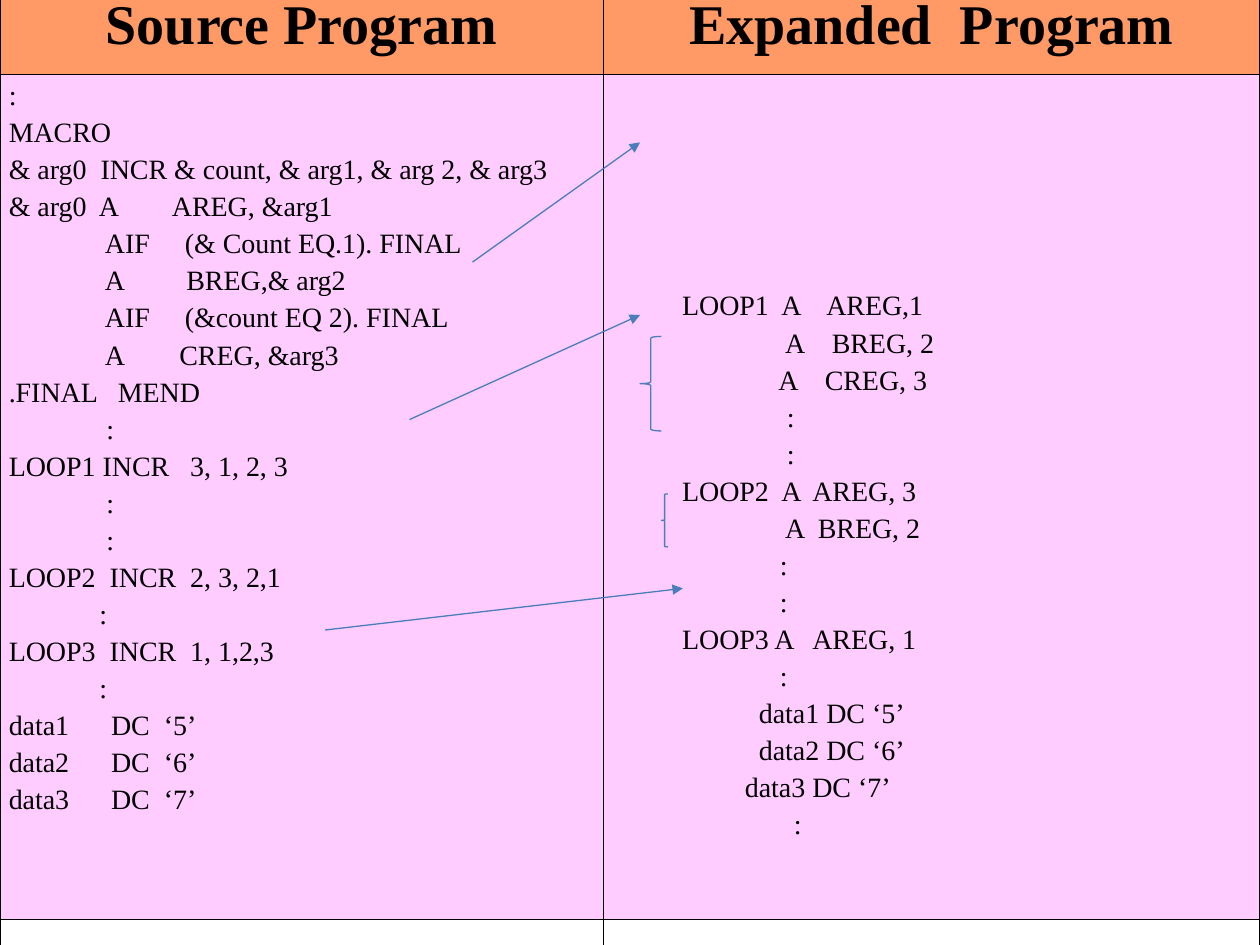
from pptx import Presentation
from pptx.dml.color import RGBColor
from pptx.enum.shapes import MSO_CONNECTOR, MSO_SHAPE
from pptx.enum.text import PP_ALIGN
from pptx.oxml.ns import qn
from pptx.util import Inches, Pt
from lxml.etree import SubElement

BLACK = RGBColor(0x00, 0x00, 0x00)
WHITE = RGBColor(0xFF, 0xFF, 0xFF)
ORANGE = RGBColor(0xFF, 0x99, 0x66)
PINK = RGBColor(0xFF, 0xCC, 0xFF)
BLUE = RGBColor(0x4A, 0x7E, 0xBB)
FONT = "Times New Roman"

COLUMN_WIDTHS = (4.79, 5.21)
ROW_HEIGHTS = (0.68, 6.71, 0.3)
ROW_FILLS = (ORANGE, PINK, WHITE)
HEADERS = ("Source Program", "Expanded  Program")

SOURCE_CODE = """\
:
MACRO
& arg0  INCR & count, & arg1, & arg 2, & arg3
& arg0  A        AREG, &arg1
              AIF     (& Count EQ.1). FINAL
              A         BREG,& arg2
              AIF     (&count EQ 2). FINAL
              A        CREG, &arg3
.FINAL   MEND
              :
LOOP1 INCR   3, 1, 2, 3
              :
              :
LOOP2  INCR  2, 3, 2,1
             :
LOOP3  INCR  1, 1,2,3
             :
data1      DC  ‘5’
data2      DC  ‘6’
data3      DC  ‘7’"""

EXPANDED_CODE = """\
          LOOP1  A    AREG,1
                         A    BREG, 2
                        A    CREG, 3
                         :
                         :
          LOOP2  A  AREG, 3
                         A  BREG, 2
                        :
                        :
          LOOP3 A   AREG, 1
                        :
                     data1 DC ‘5’
                     data2 DC ‘6’
                   data3 DC ‘7’
                          :"""

# left, top, width, height
BRACES = ((5.08, 2.67, 0.17, 0.75), (5.25, 3.92, 0.05, 0.42))
# from x, from y, to x, to y
ARROWS = ((3.75, 2.08, 5.08, 1.13), (3.25, 3.33, 5.08, 2.5), (2.58, 5, 5.42, 4.67))


def set_borders(cell):
    tcPr = cell._tc.get_or_add_tcPr()
    for i, side in enumerate(("a:lnL", "a:lnR", "a:lnT", "a:lnB")):
        ln = tcPr.makeelement(qn(side), {"w": str(Pt(0.96))})
        fill = SubElement(ln, qn("a:solidFill"))
        SubElement(fill, qn("a:srgbClr"), val=str(BLACK))
        tcPr.insert(i, ln)


def write_cell(cell, text, size, align, bold=False, top=0.05):
    cell.margin_top = Inches(top)
    tf = cell.text_frame
    tf.text = text
    for i, p in enumerate(tf.paragraphs):
        p.alignment = align
        p.space_before = Pt(1.7 if i else 0)
        p.space_after = Pt(1.7)
        for r in p.runs:
            r.font.name = FONT
            r.font.size = Pt(size)
            r.font.bold = bold
            r.font.color.rgb = BLACK


def add_program_table(s):
    frame = s.shapes.add_table(len(ROW_HEIGHTS), len(COLUMN_WIDTHS), Inches(0),
                               Inches(-0.09), Inches(10), Inches(7.69))
    table = frame.table
    table.first_row = table.horz_banding = False
    for column, width in zip(table.columns, COLUMN_WIDTHS):
        column.width = Inches(width)
    for row, height, color in zip(table.rows, ROW_HEIGHTS, ROW_FILLS):
        row.height = Inches(height)
        for cell in row.cells:
            cell.margin_left = cell.margin_right = Inches(0.07)
            cell.margin_top = cell.margin_bottom = Inches(0.05)
            cell.fill.solid()
            cell.fill.fore_color.rgb = color
            set_borders(cell)
    return table


def add_brace(s, left, top, width, height):
    sp = s.shapes.add_shape(MSO_SHAPE.LEFT_BRACE, Inches(left), Inches(top),
                            Inches(width), Inches(height))
    sp.shadow.inherit = False
    sp.fill.background()
    sp.line.color.rgb = BLUE
    sp.line.width = Pt(0.75)


def add_arrow(s, x1, y1, x2, y2):
    arrow = s.shapes.add_connector(MSO_CONNECTOR.STRAIGHT, Inches(x1), Inches(y1),
                                   Inches(x2), Inches(y2))
    arrow.line.color.rgb = BLUE
    arrow.line.width = Pt(0.75)
    SubElement(arrow.line._get_or_add_ln(), qn("a:tailEnd"), type="triangle")
    SubElement(arrow._element.spPr, qn("a:effectLst"))


def main():
    prs = Presentation()
    prs.slide_width, prs.slide_height = Inches(10), Inches(7.5)
    s = prs.slides.add_slide(prs.slide_layouts[6])

    # Table with the program before and after macro expansion
    table = add_program_table(s)
    for i, header in enumerate(HEADERS):
        write_cell(table.cell(0, i), header, 32, PP_ALIGN.CENTER, bold=True)
    write_cell(table.cell(1, 0), SOURCE_CODE, 16, PP_ALIGN.JUSTIFY)
    write_cell(table.cell(1, 1), EXPANDED_CODE, 16, PP_ALIGN.LEFT, top=1.72)

    # Braces around the expanded lines
    for brace in BRACES:
        add_brace(s, *brace)

    # Arrows from macro calls to their expansions
    for arrow in ARROWS:
        add_arrow(s, *arrow)

    prs.save("out.pptx")


if __name__ == "__main__":
    main()
